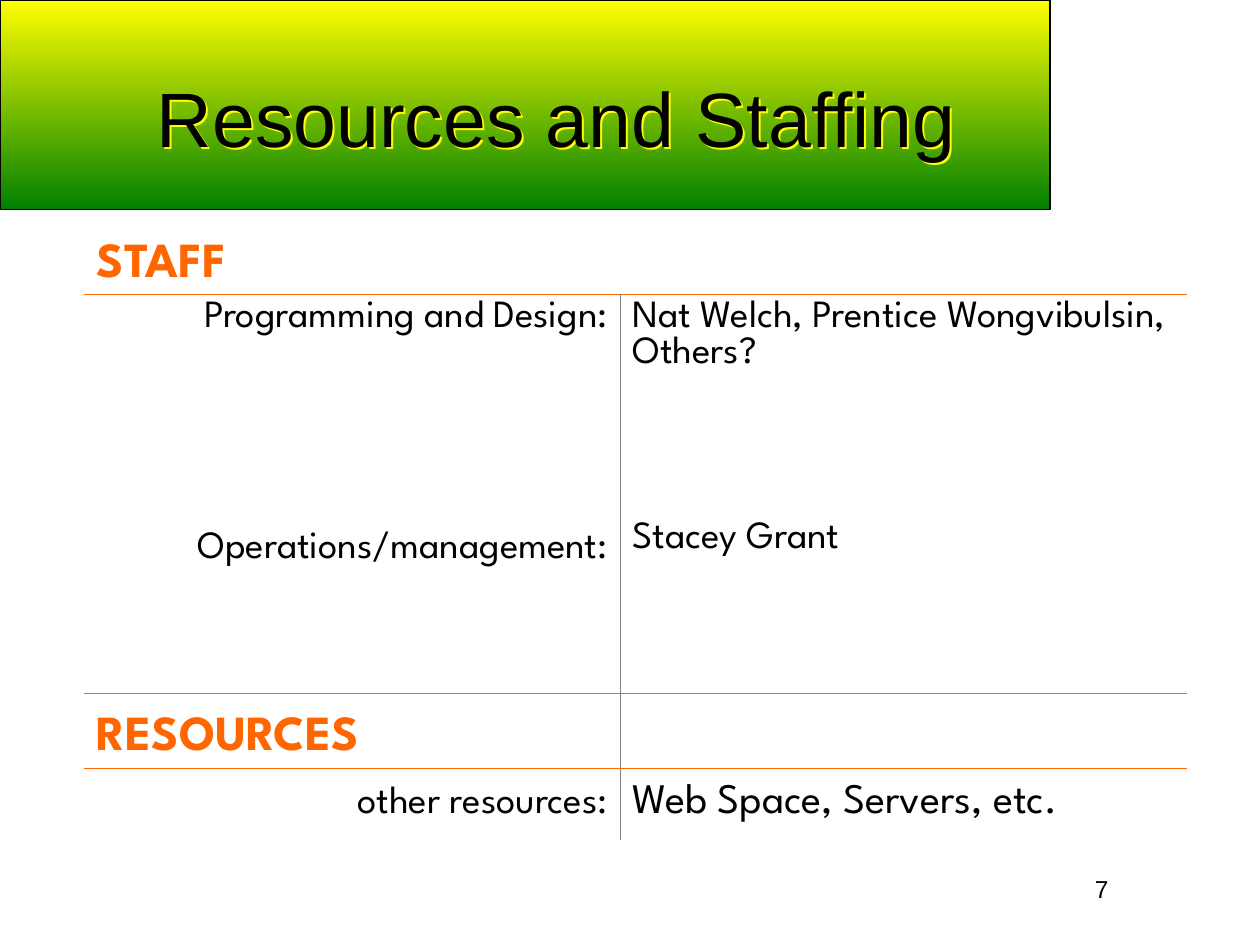
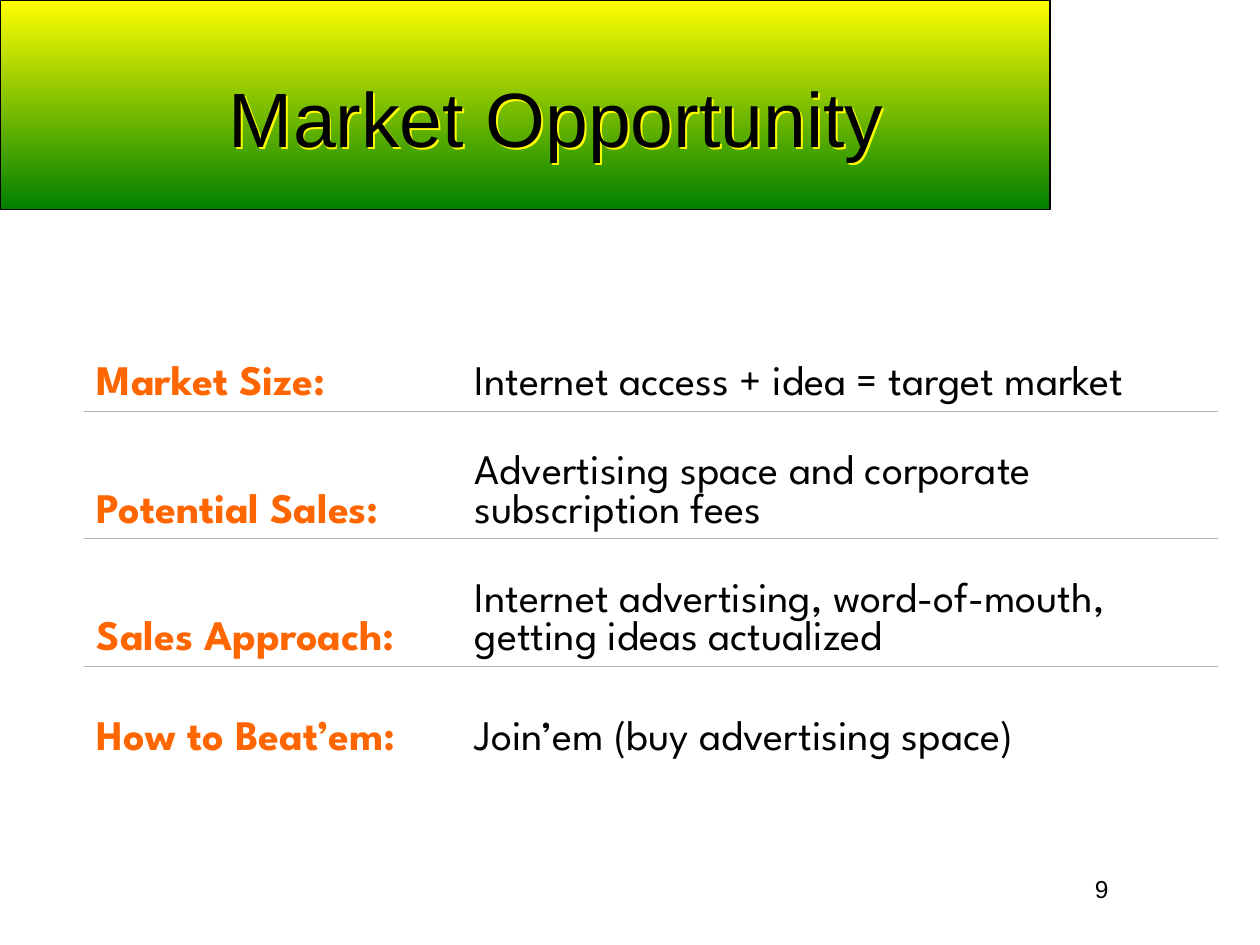
"""Build two business plan slides: staffing and market opportunity."""
from lxml import etree
from pptx import Presentation
from pptx.dml.color import RGBColor
from pptx.enum.shapes import MSO_SHAPE
from pptx.enum.text import MSO_ANCHOR, PP_ALIGN
from pptx.oxml.ns import qn
from pptx.util import Cm, Pt

RECTANGLE = MSO_SHAPE.RECTANGLE
TOP, MIDDLE, BOTTOM = MSO_ANCHOR.TOP, MSO_ANCHOR.MIDDLE, MSO_ANCHOR.BOTTOM
LEFT, CENTER, RIGHT = PP_ALIGN.LEFT, PP_ALIGN.CENTER, PP_ALIGN.RIGHT

BLACK = RGBColor(0x00, 0x00, 0x00)
YELLOW = RGBColor(0xFF, 0xFF, 0x00)
GREEN = RGBColor(0x00, 0x80, 0x00)
ORANGE = RGBColor(0xFF, 0x66, 0x00)
GREY = RGBColor(0x80, 0x80, 0x80)
SILVER = RGBColor(0xB2, 0xB2, 0xB2)

HEADING_FONT = "Arial"
TABLE_FONT = "League Spartan"
PLAIN_TABLE = "{2D5ABB26-0587-4C30-8999-92F81FD0307C}"
TITLE_ONLY = 5


class Deck:
    """Holds the shared style and the slide being built."""

    def __init__(self):
        self.presentation = Presentation()
        self.presentation.slide_width = Cm(25.4)
        self.presentation.slide_height = Cm(19.05)
        self.slide = None

    def start(self, heading, number):
        """Add a slide with its band, title and page number."""
        layout = self.presentation.slide_layouts[TITLE_ONLY]
        self.slide = self.presentation.slides.add_slide(layout)
        self.title(heading)
        self.band()
        self.page_number(number)

    def style(self, paragraph, font, size, color=BLACK, bold=False, align=LEFT):
        """Format a paragraph and its runs."""
        paragraph.alignment = align
        for run in paragraph.runs:
            run.font.name = font
            run.font.size = Pt(size)
            run.font.bold = bold
            run.font.color.rgb = color

    def title(self, heading):
        """Fill the title placeholder and give its text a yellow shadow."""
        title = self.slide.shapes.title
        title.left, title.top = Cm(1.27), Cm(0.76)
        title.width, title.height = Cm(19.9), Cm(3.18)
        title.text_frame.text = heading
        title.text_frame.vertical_anchor = MIDDLE
        self.style(title.text_frame.paragraphs[0], HEADING_FONT, 44, align=CENTER)
        effects = etree.SubElement(title.element.spPr, qn("a:effectLst"))
        shadow = etree.SubElement(effects, qn("a:outerShdw"), dist="20000", dir="2700000")
        etree.SubElement(shadow, qn("a:srgbClr"), val=str(YELLOW))

    def band(self):
        """Draw the gradient band behind the title."""
        band = self.slide.shapes.add_shape(RECTANGLE, 0, 0, Cm(21.17), Cm(4.23))
        band.shadow.inherit = False
        band.fill.gradient()
        band.fill.gradient_angle = 270
        for stop, color in zip(band.fill.gradient_stops, (YELLOW, GREEN)):
            stop.color.rgb = color
        band.line.color.rgb = BLACK
        band.line.width = Pt(0.74)
        self.slide.shapes.title.element.addprevious(band.element)

    def page_number(self, number):
        """Write the page number at the bottom right."""
        box = self.slide.shapes.add_textbox(Cm(21.82), Cm(17.5), Cm(2.77), Cm(0.86))
        box.text_frame.word_wrap = True
        box.text_frame.text = str(number)
        self.style(box.text_frame.paragraphs[0], HEADING_FONT, 14)

    def table(self, top, widths, heights):
        """Add a plain unfilled table with the given column and row sizes in cm."""
        frame = self.slide.shapes.add_table(
            len(heights), len(widths), Cm(1.7), Cm(top), Cm(sum(widths)), Cm(sum(heights)))
        for style_id in frame.element.iter(qn("a:tableStyleId")):
            style_id.text = PLAIN_TABLE
        table = frame.table
        table.first_row = table.horz_banding = False
        for column, width in zip(table.columns, widths):
            column.width = Cm(width)
        for row, height in zip(table.rows, heights):
            row.height = Cm(height)
        for cell in table.iter_cells():
            cell.fill.background()
        return table

    def entry(self, cell, lines, size, anchor=BOTTOM, gap=6, **look):
        """Write lines into a cell with a gap in points before each."""
        cell.text_frame.text = "\n".join(lines)
        cell.vertical_anchor = anchor
        for paragraph in cell.text_frame.paragraphs:
            paragraph.space_before = Pt(gap)
            self.style(paragraph, TABLE_FONT, size, **look)

    def border(self, cell, edge, color, width):
        """Draw one edge of a cell, ahead of its fill."""
        line = etree.Element(qn(f"a:ln{edge}"), w=str(Pt(width)))
        fill = etree.SubElement(line, qn("a:solidFill"))
        etree.SubElement(fill, qn("a:srgbClr"), val=str(color))
        cell.fill.background()
        properties = cell._tc.tcPr
        properties.find(qn("a:noFill")).addprevious(line)

    def row_rule(self, table, row, color, width):
        """Draw a rule across the table below a row."""
        for column in range(len(table.columns)):
            self.border(table.cell(row, column), "B", color, width)
            self.border(table.cell(row + 1, column), "T", color, width)

    def column_rule(self, table, rows, color, width):
        """Draw a rule between the first two columns in the given rows."""
        for row in rows:
            self.border(table.cell(row, 0), "R", color, width)
            self.border(table.cell(row, 1), "L", color, width)


def staffing(deck):
    """Build the staffing slide."""
    deck.start("Resources and Staffing", 7)
    table = deck.table(4.23, (10.8, 11.43), (1.71, 8.04, 1.5, 1.45))
    deck.column_rule(table, (1, 2, 3), GREY, 0.34)
    for row in (0, 2):
        deck.row_rule(table, row, ORANGE, 0.34)
    table.cell(0, 0).merge(table.cell(0, 1))
    for row, section in ((0, "STAFF"), (2, "RESOURCES")):
        deck.entry(table.cell(row, 0), [section], 28, gap=7, color=ORANGE, bold=True)
    roles = ["Programming and Design:", "Operations/management:"]
    people = ["Nat Welch, Prentice Wongvibulsin, Others?", "Stacey Grant"]
    deck.entry(table.cell(1, 0), roles, 22, TOP, 111.8, align=RIGHT)
    deck.entry(table.cell(1, 1), people, 22, TOP, 85.5)
    deck.entry(table.cell(3, 0), ["other resources:"], 22, MIDDLE, 5.5, align=RIGHT)
    deck.entry(table.cell(3, 1), ["Web Space, Servers, etc."], 24, MIDDLE)


def market(deck):
    """Build the market slide."""
    deck.start("Market Opportunity", 9)
    topics = (
        ("Market Size:", "Internet access + idea = target market"),
        ("Potential Sales:", "Advertising space and corporate subscription fees"),
        ("Sales Approach:", "Internet advertising, word-of-mouth, getting ideas actualized"),
        ("How to Beat’em:", "Join’em (buy advertising space)"),
    )
    table = deck.table(5.72, (7.62, 15.24), (2.57, 2.57, 2.57, 2.01))
    for row, (topic, answer) in enumerate(topics):
        deck.entry(table.cell(row, 0), [topic], 24, color=ORANGE, bold=True)
        deck.entry(table.cell(row, 1), [answer], 24)
    for row in range(len(topics) - 1):
        deck.row_rule(table, row, SILVER, 0.45)


deck = Deck()
staffing(deck)
market(deck)
deck.presentation.save("out.pptx")
